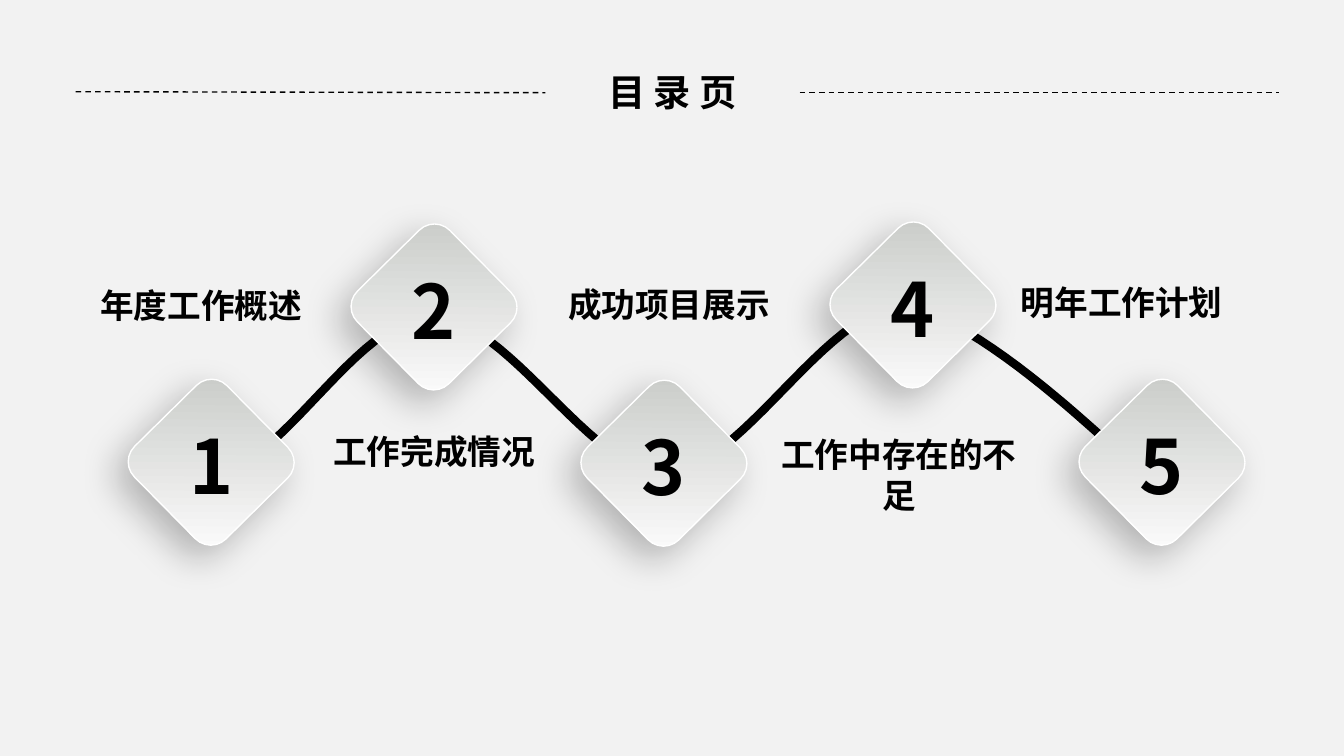
from lxml import etree
from pptx import Presentation
from pptx.dml.color import RGBColor
from pptx.enum.dml import MSO_LINE_DASH_STYLE as DASH
from pptx.enum.shapes import MSO_CONNECTOR, MSO_SHAPE
from pptx.enum.text import MSO_AUTO_SIZE, PP_ALIGN
from pptx.oxml.ns import qn
from pptx.util import Inches, Pt

# Content
TITLE = "目 录 页"
FONT = "Noto Sans CJK SC"
# label, label left and top, diamond left and top
ITEMS = [
    ("年度工作概述", (0.69, 2.78), (1.45, 3.94)),
    ("工作完成情况", (3.00, 4.23), (3.66, 2.40)),
    ("成功项目展示", (5.33, 2.77), (5.94, 3.95)),
    ("工作中存在的不足", (7.61, 4.26), (8.41, 2.38)),
    ("明年工作计划", (9.82, 2.75), (10.88, 3.94)),
]
RULES = [((0.75, 0.91), (5.41, 0.92)), ((7.93, 0.92), (12.69, 0.92))]
# Wave: start, then two control points and an end for each stretch
WAVE_START = (2.09, 4.69)
WAVE = [
    ((2.77, 4.70), (3.53, 3.14), (4.28, 3.14)),
    ((5.03, 3.14), (5.86, 4.69), (6.59, 4.70)),
    ((7.34, 4.68), (8.19, 3.06), (8.93, 3.05)),
    ((9.65, 3.05), (11.21, 4.61), (11.21, 4.59)),
]
WAVE_STEPS = 24
DIAMOND = 1.29
LABEL_WIDTH = 2.61
DIGIT_SIZE = (0.66, 1.0)

presentation = Presentation()
presentation.slide_width = Inches(13.33)
presentation.slide_height = Inches(7.5)
slide = presentation.slides.add_slide(presentation.slide_layouts[6])
shapes = slide.shapes


def color(value):
    return RGBColor.from_string(value)


def add_text(text, left, top, width, height, size, wrap=True, inset=None):
    box = shapes.add_textbox(Inches(left), Inches(top), Inches(width), Inches(height))
    frame = box.text_frame
    frame.word_wrap = wrap
    frame.auto_size = MSO_AUTO_SIZE.SHAPE_TO_FIT_TEXT
    if inset is not None:
        frame.margin_left = frame.margin_right = Inches(inset)
        frame.margin_top = frame.margin_bottom = Inches(inset)
    paragraph = frame.paragraphs[0]
    run = paragraph.add_run()
    run.text = text
    paragraph.alignment = PP_ALIGN.CENTER
    font = paragraph.font
    font.name, font.size, font.bold = FONT, Pt(size), True
    font.color.rgb = color("000000")
    # East Asian glyphs take their own typeface entry
    etree.SubElement(run.font._element, qn("a:ea"), typeface=FONT)


def add_shadow(shape):
    shape.shadow.inherit = False
    effects = shape._element.spPr.find(qn("a:effectLst"))
    shadow = etree.SubElement(
        effects, qn("a:outerShdw"), blurRad=str(Pt(27)), dist=str(Pt(12)),
        dir=str(135 * 60000), algn="tr", rotWithShape="0")
    tint = etree.SubElement(shadow, qn("a:srgbClr"), val="000000")
    etree.SubElement(tint, qn("a:alpha"), val="26000")


def add_diamond(left, top):
    shape = shapes.add_shape(MSO_SHAPE.ROUNDED_RECTANGLE, Inches(left), Inches(top),
                             Inches(DIAMOND), Inches(DIAMOND))
    shape.rotation = 315.4
    shape.fill.gradient()
    shape.fill.gradient_angle = 225
    for stop, value in zip(shape.fill.gradient_stops, ("C9CBC8", "FCFCFC")):
        stop.color.rgb = color(value)
    shape.line.color.rgb = color("FFFFFF")
    shape.line.width = Pt(1)
    add_shadow(shape)


def curve_points(start, stretches):
    for first, second, end in stretches:
        for step in range(1, WAVE_STEPS + 1):
            t = step / WAVE_STEPS
            u = 1 - t
            yield tuple(
                Inches(u**3 * a + 3 * u * u * t * b + 3 * u * t * t * c + t**3 * d)
                for a, b, c, d in zip(start, first, second, end))
        start = end


# Background
slide.background.fill.solid()
slide.background.fill.fore_color.rgb = color("F2F2F2")

# Wave behind the diamonds
builder = shapes.build_freeform(*(Inches(value) for value in WAVE_START))
builder.add_line_segments(curve_points(WAVE_START, WAVE), close=False)
wave = builder.convert_to_shape()
wave.fill.background()
wave.line.color.rgb = color("000000")
wave.line.width = Pt(6)
wave.shadow.inherit = False

# Labels and numbered diamonds
for number, (label, label_at, (left, top)) in enumerate(ITEMS, 1):
    add_text(label, *label_at, LABEL_WIDTH, 0.91 if len(label) > 6 else 0.5, 24)
    add_diamond(left, top)
    digit_left = left + (DIAMOND - DIGIT_SIZE[0]) / 2
    add_text(str(number), digit_left, top + 0.18, *DIGIT_SIZE, 53.4, wrap=False)

# Title between dashed rules
add_text(TITLE, 5.2, 0.69, 2.94, 0.45, 26.6, inset=0)
for start, end in RULES:
    rule = shapes.add_connector(MSO_CONNECTOR.STRAIGHT,
                                *(Inches(value) for value in start + end))
    rule.line.color.rgb = color("000000")
    rule.line.width = Pt(1)
    rule.line.dash_style = DASH.DASH
    etree.SubElement(rule._element.spPr, qn("a:effectLst"))

presentation.save("out.pptx")
